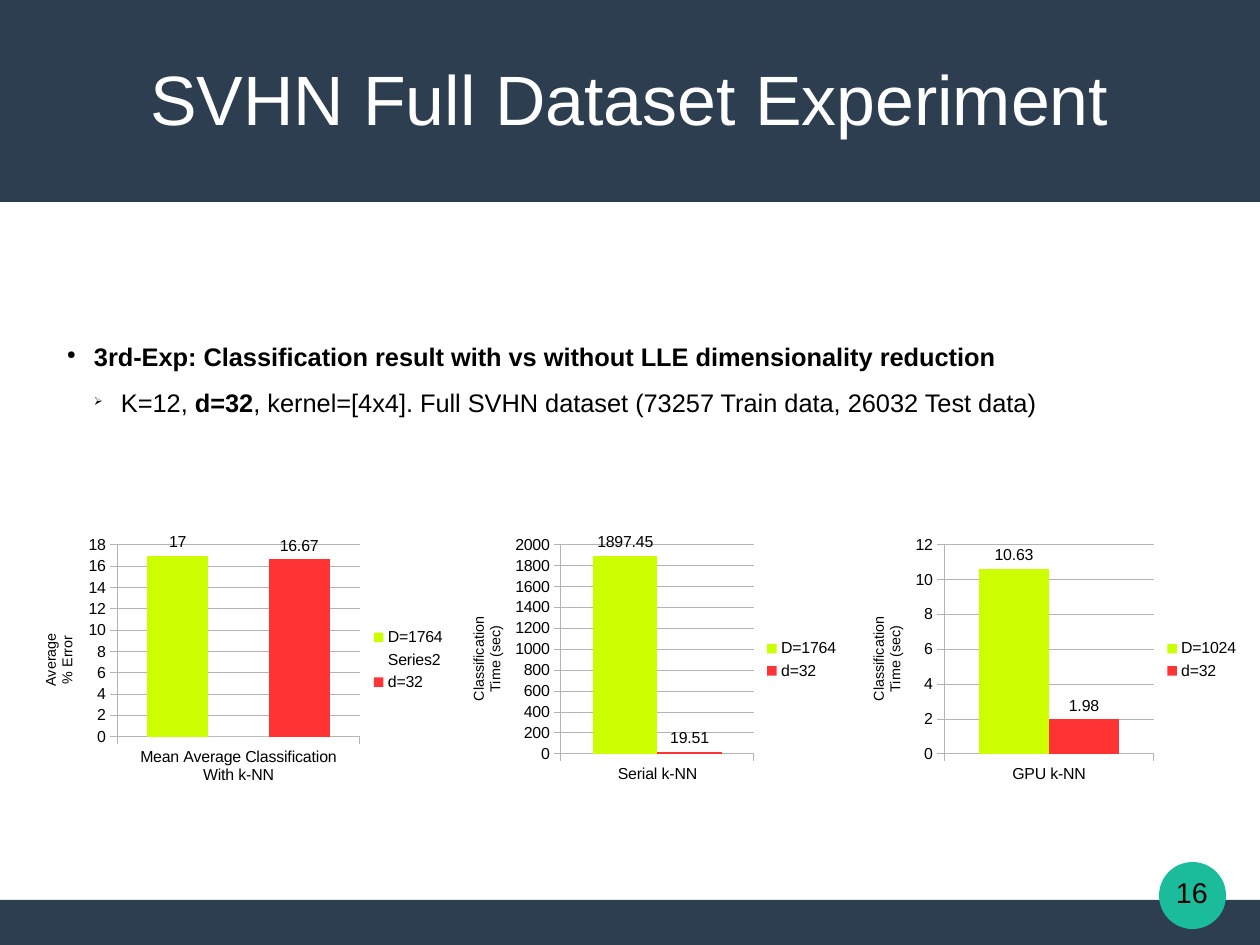
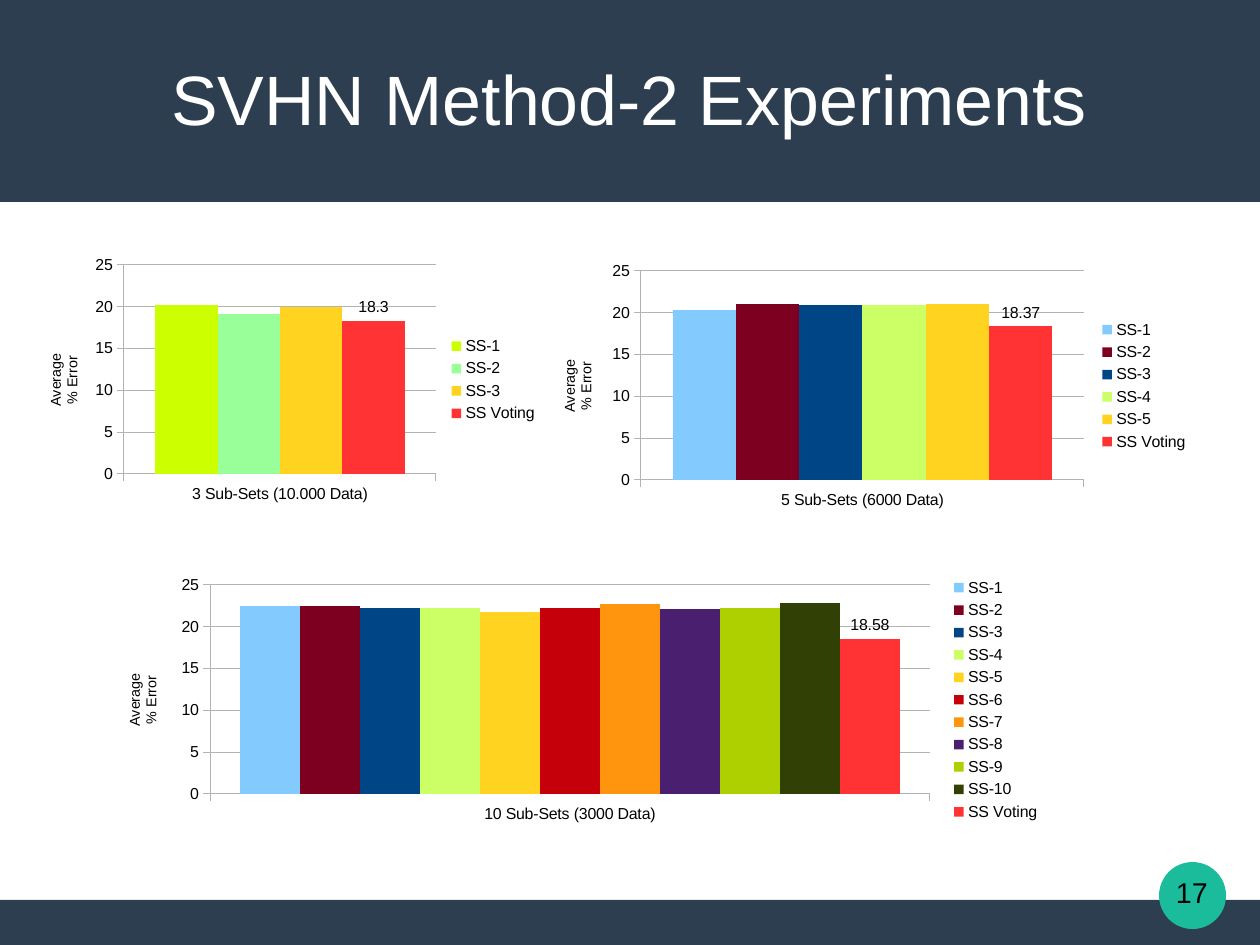
from dataclasses import dataclass
from typing import Any, NamedTuple

import pptx
import pptx.chart.data
import pptx.dml.color
import pptx.enum.chart
import pptx.enum.shapes
import pptx.enum.text
import pptx.oxml
import pptx.oxml.ns
import pptx.util

EMU_PER_PX = 8000


@dataclass(frozen=True)
class Theme:
    font: str = "Arial"
    band: str = "2C3E50"
    badge: str = "1ABC9C"
    paper: str = "FFFFFF"
    ink: str = "000000"
    rule: str = "B3B3B3"
    lime: str = "CCFF00"
    red: str = "FF3333"
    mint: str = "99FF99"
    yellow: str = "FFD320"
    subsets: tuple[str, ...] = (
        "83CAFF", "7E0021", "004586", "CCFF66", "FFD320",
        "C5000B", "FF950E", "4B1F6F", "AECF00", "314004",
    )
    title_size: int = 44
    page_size: int = 18
    body_size: int = 16
    chart_size: int = 10
    axis_title_size: int = 9


THEME = Theme()


class Box(NamedTuple):
    left: int
    top: int
    width: int
    height: int

    def emu(self) -> tuple[pptx.util.Emu, ...]:
        return tuple(px(length) for length in self)


class Series(NamedTuple):
    name: str
    value: float
    color: str
    labelled: bool = False


class AxisTitle(NamedTuple):
    lines: tuple[str, str]
    span: int


class BarChart(NamedTuple):
    frame: Box
    plot: Box
    axis_title: AxisTitle
    category: str
    series: list[Series]


class Bullet(NamedTuple):
    mark: str
    indent: int
    gap_before: float
    runs: list[tuple[str, bool]]


class Page(NamedTuple):
    number: int
    title: str
    bullets: list[Bullet]
    charts: list[BarChart]


SLIDE = Box(0, 0, 1260, 945)
BANDS = [Box(0, 900, 1260, 45), Box(0, 0, 1260, 202)]
BADGE = Box(1159, 862, 67, 67)
PAGE_NUMBER = Box(1165, 869, 54, 63)
TITLE = Box(45, 38, 1170, 120)
BODY = Box(67, 341, 1134, 80)
HANGING = 27
AXIS_TITLE_LEFT = 19
AXIS_TITLE_RISE = 3
LEGEND_GAP_SHARE = 0.02
LEGEND_ROW = 22.4
HAIRLINE = pptx.util.Emu(100)

ERROR = AxisTitle(("Average", "% Error"), 53)
TIME = AxisTitle(("Classification", "Time (sec)"), 86)


def px(length: int) -> pptx.util.Emu:
    return pptx.util.Emu(length * EMU_PER_PX)


def rgb(color: str) -> pptx.dml.color.RGBColor:
    return pptx.dml.color.RGBColor.from_string(color)


def style_font(font: Any, size: int, color: str, bold: bool = False) -> None:
    font.name = THEME.font
    font.size = pptx.util.Pt(size)
    font.bold = bold
    font.color.rgb = rgb(color)


def add_run(paragraph: Any, text: str, *, size: int, color: str = THEME.ink,
            bold: bool = False) -> None:
    run = paragraph.add_run()
    run.text = text
    style_font(run.font, size, color, bold)


def add_frame(slide: Any, box: Box, inset: tuple[int, int] = (0, 0),
              wrap: bool = True) -> Any:
    frame = slide.shapes.add_textbox(*box.emu()).text_frame
    frame.word_wrap = wrap
    frame.margin_left = frame.margin_right = px(inset[0])
    frame.margin_top = frame.margin_bottom = px(inset[1])
    return frame


def add_filled(slide: Any, kind: Any, box: Box, color: str) -> None:
    shape = slide.shapes.add_shape(kind, *box.emu())
    shape.shadow.inherit = False
    shape.fill.solid()
    shape.fill.fore_color.rgb = rgb(color)
    shape.line.fill.background()


def add_surround(slide: Any, page: Page) -> None:
    kinds = pptx.enum.shapes.MSO_SHAPE
    for band in BANDS:
        add_filled(slide, kinds.RECTANGLE, band, THEME.band)
    add_filled(slide, kinds.OVAL, BADGE, THEME.badge)
    title = add_frame(slide, TITLE)
    title.vertical_anchor = pptx.enum.text.MSO_ANCHOR.MIDDLE
    title.paragraphs[0].alignment = pptx.enum.text.PP_ALIGN.CENTER
    add_run(title.paragraphs[0], page.title, size=THEME.title_size, color=THEME.paper)
    number = add_frame(slide, PAGE_NUMBER, inset=(11, 6), wrap=False)
    add_run(number.paragraphs[0], str(page.number), size=THEME.page_size)


def add_bullets(slide: Any, bullets: list[Bullet]) -> None:
    frame = add_frame(slide, BODY)
    for index, bullet in enumerate(bullets):
        paragraph = frame.add_paragraph() if index else frame.paragraphs[0]
        properties = paragraph._p.get_or_add_pPr()
        properties.set("marL", str(px(bullet.indent)))
        properties.set("indent", str(-px(HANGING)))
        namespace = pptx.oxml.ns.nsdecls("a")
        for markup in (
            f'<a:buClr {namespace}><a:srgbClr val="{THEME.ink}"/></a:buClr>',
            f'<a:buSzPct {namespace} val="45000"/>',
            f'<a:buChar {namespace} char="{bullet.mark}"/>',
        ):
            properties.append(pptx.oxml.parse_xml(markup))
        if index:
            paragraph.space_before = pptx.util.Pt(bullet.gap_before)
        for text, bold in bullet.runs:
            add_run(paragraph, text, size=THEME.body_size, bold=bold)


def set_layout(parent: Any, after: str, values: dict[str, float],
               target: str = "") -> None:
    for old in parent.xpath("c:layout"):
        parent.remove(old)
    parts = [f'<c:layoutTarget val="{target}"/>'] if target else []
    parts += [f'<c:{key}Mode val="edge"/>' for key in ("x", "y")]
    parts += [f'<c:{key} val="{value:.4f}"/>' for key, value in values.items()]
    layout = pptx.oxml.parse_xml(
        f'<c:layout {pptx.oxml.ns.nsdecls("c")}><c:manualLayout>'
        f'{"".join(parts)}</c:manualLayout></c:layout>')
    anchors = parent.xpath(f"c:{after}") if after else []
    parent.insert(parent.index(anchors[0]) + 1 if anchors else 0, layout)


def arrange(chart: Any, spec: BarChart) -> None:
    frame, plot = spec.frame, spec.plot
    root = chart.element
    set_layout(root.xpath(".//c:plotArea")[0], "", {
        "x": (plot.left - frame.left) / frame.width,
        "y": (plot.top - frame.top) / frame.height,
        "w": plot.width / frame.width,
        "h": plot.height / frame.height,
    }, "inner")
    set_layout(root.xpath(".//c:valAx/c:title")[0], "tx", {
        "x": AXIS_TITLE_LEFT / frame.width,
        "y": 0.5 - (spec.axis_title.span / 2 + AXIS_TITLE_RISE) / frame.height,
    })
    set_layout(root.xpath(".//c:legend")[0], "legendPos", {
        "x": (plot.left + plot.width - frame.left) / frame.width + LEGEND_GAP_SHARE,
        "y": 0.5 - (len(spec.series) * LEGEND_ROW / 2 + 2) / frame.height,
    })


def add_bar_chart(slide: Any, spec: BarChart) -> None:
    enums = pptx.enum.chart
    data = pptx.chart.data.CategoryChartData()
    data.categories = [spec.category]
    for series in spec.series:
        data.add_series(series.name, [series.value])
    chart = slide.shapes.add_chart(
        enums.XL_CHART_TYPE.COLUMN_CLUSTERED, *spec.frame.emu(), data).chart
    chart.has_title = False
    style_font(chart.font, THEME.chart_size, THEME.ink)
    chart.has_legend = True
    chart.legend.position = enums.XL_LEGEND_POSITION.RIGHT
    chart.legend.include_in_layout = False
    style_font(chart.legend.font, THEME.chart_size, THEME.ink)

    bars = chart.plots[0]
    bars.vary_by_categories = False
    bars.gap_width = 100
    bars.overlap = 0
    for drawn, series in zip(bars.series, spec.series):
        drawn.format.fill.solid()
        drawn.format.fill.fore_color.rgb = rgb(series.color)
        drawn.invert_if_negative = False
        if series.labelled:
            labels = drawn.data_labels
            labels.show_value = True
            labels.position = enums.XL_LABEL_POSITION.OUTSIDE_END
            style_font(labels.font, THEME.chart_size, THEME.ink)

    values = chart.value_axis
    values.minimum_scale = 0
    values.has_major_gridlines = True
    for axis in (chart.category_axis, values):
        axis.major_tick_mark = enums.XL_TICK_MARK.OUTSIDE
        style_font(axis.tick_labels.font, THEME.chart_size, THEME.ink)
    chart.element.xpath(".//c:catAx/c:txPr/a:bodyPr")[0].set("rot", "0")
    for line in (chart.category_axis.format.line, values.format.line,
                 values.major_gridlines.format.line):
        line.color.rgb = rgb(THEME.rule)
        line.width = HAIRLINE

    values.has_title = True
    heading = values.axis_title.text_frame
    for index, text in enumerate(spec.axis_title.lines):
        paragraph = heading.add_paragraph() if index else heading.paragraphs[0]
        add_run(paragraph, text, size=THEME.axis_title_size)
    body = chart.element.xpath(".//c:valAx/c:title//a:bodyPr")[0]
    body.set("rot", "-5400000")
    body.set("vert", "horz")
    arrange(chart, spec)


def comparison(dimension: int, full: float, reduced: float) -> list[Series]:
    return [Series(f"D={dimension}", full, THEME.lime, True),
            Series("d=32", reduced, THEME.red, True)]


def voting(errors: list[float], vote: float,
           colors: tuple[str, ...] = THEME.subsets) -> list[Series]:
    subsets = [Series(f"SS-{number}", error, color)
               for number, (error, color) in enumerate(zip(errors, colors), 1)]
    return subsets + [Series("SS Voting", vote, THEME.red, True)]


mean_full, mean_reduced = comparison(1764, 17, 16.67)
PAGES = [
    Page(16, "SVHN Full Dataset Experiment", [
        Bullet("●", HANGING, 0, [
            ("3rd-Exp: Classification result with vs without LLE dimensionality reduction", True)]),
        Bullet("➢", 2 * HANGING, 10, [
            ("K=12, ", False), ("d=32", True),
            (", kernel=[4x4]. Full SVHN dataset (73257 Train data, 26032 Test data)", False)]),
    ], [
        BarChart(Box(18, 531, 439, 257), Box(117, 545, 243, 192), ERROR,
                 "Mean Average Classification\nWith k-NN",
                 [mean_full, Series("Series2", 0, THEME.paper), mean_reduced]),
        BarChart(Box(446, 531, 405, 257), Box(561, 545, 193, 209), TIME,
                 "Serial k-NN", comparison(1764, 1897.45, 19.51)),
        BarChart(Box(846, 531, 405, 257), Box(944, 545, 210, 209), TIME,
                 "GPU k-NN", comparison(1024, 10.63, 1.98)),
    ]),
    Page(17, "SVHN Method-2 Experiments", [], [
        BarChart(Box(23, 251, 526, 257), Box(124, 265, 312, 209), ERROR,
                 "3 Sub-Sets (10.000 Data)",
                 voting([20.2, 19.1, 20], 18.3, (THEME.lime, THEME.mint, THEME.yellow))),
        BarChart(Box(537, 257, 663, 257), Box(641, 271, 443, 209), ERROR,
                 "5 Sub-Sets (6000 Data)",
                 voting([20.3, 21.1, 20.9, 20.9, 21.1], 18.37)),
        BarChart(Box(102, 571, 950, 257), Box(210, 585, 720, 209), ERROR,
                 "10 Sub-Sets (3000 Data)",
                 voting([22.5, 22.5, 22.2, 22.3, 21.7, 22.2, 22.7, 22.1, 22.2, 22.8], 18.58)),
    ]),
]


def main() -> None:
    deck = pptx.Presentation()
    deck.slide_width, deck.slide_height = px(SLIDE.width), px(SLIDE.height)
    for page in PAGES:
        slide = deck.slides.add_slide(deck.slide_layouts[6])
        add_surround(slide, page)
        if page.bullets:
            add_bullets(slide, page.bullets)
        for spec in page.charts:
            add_bar_chart(slide, spec)
    deck.save("out.pptx")


if __name__ == "__main__":
    main()
